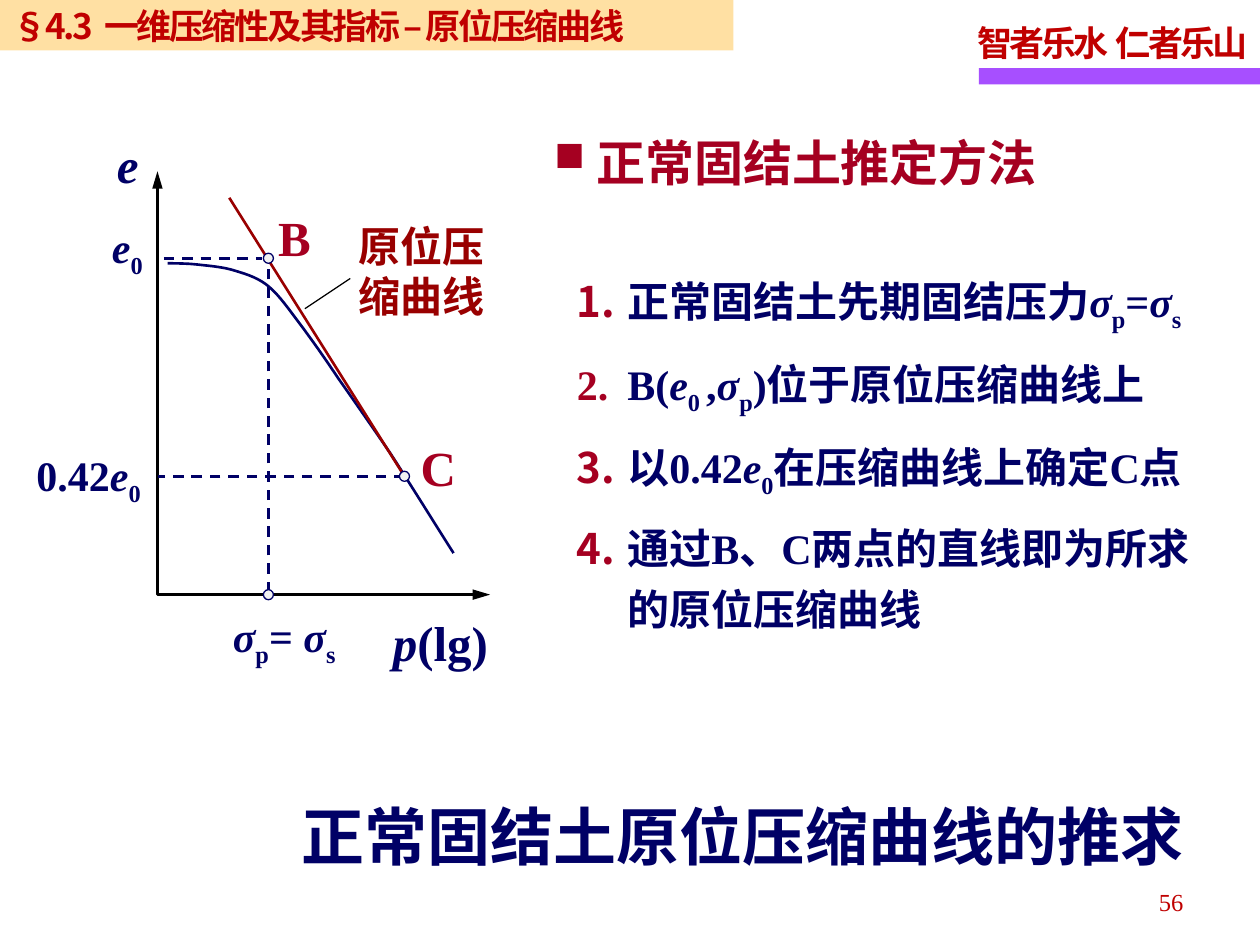
from dataclasses import dataclass
from typing import NamedTuple

import lxml.etree
import pptx
import pptx.dml.color
import pptx.enum.dml
import pptx.enum.shapes
import pptx.enum.text
import pptx.oxml.ns
import pptx.util
from pptx.util import Inches

LATIN, CHINESE = "Times New Roman", "Noto Sans CJK SC"
NAVY, CRIMSON, RED, MAROON, BLACK = "000066", "A50021", "C00000", "990000", "000000"
ALIGN = pptx.enum.text.PP_ALIGN
SHAPE = pptx.enum.shapes.MSO_SHAPE
MARKER = 0.08


class Span(NamedTuple):
    text: str
    italic: bool = False
    sub: bool = False


@dataclass
class Style:
    size: float
    color: str = NAVY
    font: str = LATIN
    bold: bool = True
    tracking: float = 0
    align: ALIGN = ALIGN.LEFT
    line_spacing: float = 1.0
    space_before: float = 0
    hanging: float = 0
    bullet: tuple[str, str, str] | None = None  # tag, attribute, value
    bullet_percent: int = 100


@dataclass
class Label:
    left: float
    top: float
    width: float
    height: float
    paragraphs: list[list[Span]]
    style: Style
    wrap: bool = False
    grow: bool = True


def rgb(color: str) -> pptx.dml.color.RGBColor:
    return pptx.dml.color.RGBColor.from_string(color)


def add_element(parent, tag: str, **attributes: str):
    element = lxml.etree.SubElement(parent, pptx.oxml.ns.qn(tag))
    for name, value in attributes.items():
        element.set(name, value)
    return element


def add_bullet(para, style: Style) -> None:
    properties = para._p.get_or_add_pPr()
    add_element(add_element(properties, "a:buClr"), "a:srgbClr", val=CRIMSON)
    add_element(properties, "a:buSzPct", val=str(style.bullet_percent * 1000))
    tag, attribute, value = style.bullet
    add_element(properties, tag, **{attribute: value})
    if style.hanging:
        indent = Inches(style.hanging)
        properties.set("marL", str(indent))
        properties.set("indent", str(-indent))
        add_element(add_element(properties, "a:tabLst"), "a:tab", pos=str(indent), algn="l")


def write(frame, paragraphs: list[list[Span]], style: Style) -> None:
    for index, spans in enumerate(paragraphs):
        para = frame.paragraphs[0] if index == 0 else frame.add_paragraph()
        if style.bullet:
            add_bullet(para, style)
        para.alignment = style.align
        para.line_spacing = style.line_spacing
        if index and style.space_before:
            para.space_before = pptx.util.Pt(style.space_before)
        for span in spans:
            run = para.add_run()
            run.text = span.text
            formats = {"name": style.font, "size": pptx.util.Pt(style.size),
                       "bold": style.bold, "italic": span.italic}
            for name, value in formats.items():
                setattr(run.font, name, value)
            run.font.color.rgb = rgb(style.color)
            properties = run._r.get_or_add_rPr()
            add_element(properties, "a:ea", typeface=CHINESE)
            if span.sub:
                properties.set("baseline", "-25000")
            if style.tracking:
                properties.set("spc", str(round(style.tracking * 100)))


def add_label(shapes, label: Label) -> None:
    box = shapes.add_textbox(*map(Inches, (label.left, label.top, label.width, label.height)))
    box.text_frame.word_wrap = label.wrap
    if label.grow:
        box.text_frame.auto_size = pptx.enum.text.MSO_AUTO_SIZE.SHAPE_TO_FIT_TEXT
    write(box.text_frame, label.paragraphs, label.style)


def add_filled(shapes, kind: SHAPE, left: float, top: float, width: float, height: float,
               fill: str):
    shape = shapes.add_shape(kind, *map(Inches, (left, top, width, height)))
    shape.shadow.inherit = False
    shape.fill.solid()
    shape.fill.fore_color.rgb = rgb(fill)
    shape.line.fill.background()
    return shape


def set_line(shape, color: str, weight: float) -> None:
    shape.line.color.rgb = rgb(color)
    shape.line.width = pptx.util.Pt(weight)


def add_marker(shapes, x: float, y: float) -> None:
    """Draw a small ring centred on a point of the graph."""
    ring = add_filled(shapes, SHAPE.OVAL, x - MARKER / 2, y - MARKER / 2, MARKER, MARKER, "F2F2F2")
    set_line(ring, NAVY, 0.75)


def add_line(shapes, start: tuple, end: tuple, color: str, weight: float = 1.5,
             dashed: bool = False) -> None:
    line = shapes.add_connector(pptx.enum.shapes.MSO_CONNECTOR.STRAIGHT,
                                *map(Inches, start + end))
    set_line(line, color, weight)
    if dashed:
        line.line.dash_style = pptx.enum.dml.MSO_LINE.DASH
    add_element(line._element.spPr, "a:effectLst")


def add_path(shapes, points: list[tuple], color: str):
    vertices = [(Inches(x), Inches(y)) for x, y in points]
    builder = shapes.build_freeform(*vertices[0])
    builder.add_line_segments(vertices[1:], close=False)
    path = builder.convert_to_shape()
    path.shadow.inherit = False
    path.fill.background()
    set_line(path, color, 1.5)
    return path


def smooth(knots: list[tuple], steps: int = 8) -> list[tuple]:
    """Sample the chain of cubic Bezier segments given by knots and handles."""
    points = [knots[0]]
    for first in range(0, len(knots) - 1, 3):
        for step in range(1, steps + 1):
            t = step / steps
            weights = ((1 - t) ** 3, 3 * t * (1 - t) ** 2, 3 * t * t * (1 - t), t ** 3)
            points.append(tuple(sum(w * knot[axis] for w, knot in zip(weights, knots[first:]))
                                for axis in (0, 1)))
    return points


E, SIGMA = Span("e", italic=True), Span("σ", italic=True)
ZERO, SUB_P, SUB_S = (Span(text, sub=True) for text in ("0", "p", "s"))
SYMBOL, AXIS_NAME, POINT_NAME = Style(24), Style(28), Style(28, CRIMSON)
STEPS = [
    [Span("正常固结土先期固结压力"), SIGMA, SUB_P, Span("="), SIGMA, SUB_S],
    [Span("B("), E, Span("0 ", sub=True), Span(","), SIGMA, SUB_P, Span(")位于原位压缩曲线上")],
    [Span("以0.42"), E, ZERO, Span("在压缩曲线上确定C点")],
    [Span("通过B、C两点的直线即为所求的原位压缩曲线")],
]
TEXTS = [
    Label(7.66, 0.07, 2.34, 0.49, [[Span("智者乐水  仁者乐山")]],
          Style(20, RED, tracking=-1.7, line_spacing=1.15)),
    Label(2.07, 6.28, 7.65, 0.7, [[Span("正常固结土原位压缩曲线的推求")]],
          Style(36, align=ALIGN.CENTER), wrap=True),
    Label(4.48, 2.05, 5.32, 2.95, STEPS,
          Style(24, line_spacing=1.2, space_before=8, hanging=0.4,
                bullet=("a:buAutoNum", "type", "arabicPeriod")), wrap=True),
    Label(4.3, 1, 4.64, 0.57, [[Span(" 正常固结土推定方法")]],
          Style(28, CRIMSON, CHINESE, bullet=("a:buChar", "char", "■"), bullet_percent=85),
          wrap=True),
    Label(7.16, 6.96, 2.33, 0.4, [[Span("56")]],
          Style(14, RED, bold=False, align=ALIGN.RIGHT, line_spacing=1.15), wrap=True, grow=False),
    Label(3.02, 4.81, 0.99, 0.57, [[Span("p", italic=True), Span("(lg)")]], AXIS_NAME),
    Label(0.83, 1.02, 0.38, 0.59, [[E]], AXIS_NAME),
]
ORIGIN = (1.25, 4.72)
X_B, Y_B, X_C, Y_C = 2.13, 2.05, 3.21, 3.78
LAB_CURVE = [
    (1.33, 2.09), (1.37, 2.09), (1.48, 2.09), (1.57, 2.1), (1.66, 2.11), (1.78, 2.12),
    (1.87, 2.15), (1.97, 2.18), (2.06, 2.21), (2.14, 2.28), (2.22, 2.35), (2.29, 2.45),
    (2.38, 2.57), (2.47, 2.69), (2.57, 2.83), (2.69, 3.01), (2.81, 3.18), (2.97, 3.41),
    (3.1, 3.6), (3.23, 3.8), (3.51, 4.25), (3.6, 4.39),
]


def add_header(shapes) -> None:
    add_filled(shapes, SHAPE.RECTANGLE, 7.77, 0.54, 2.23, 0.13, "A74FFF")
    band = add_filled(shapes, SHAPE.RECTANGLE, 0, 0, 5.82, 0.4, "FFCC66")
    color = band._element.spPr.find(".//" + pptx.oxml.ns.qn("a:srgbClr"))
    add_element(color, "a:alpha", val="60000")
    write(band.text_frame, [[Span("§4.3  一维压缩性及其指标 – 原位压缩曲线")]],
          Style(20, RED, CHINESE, tracking=-1.4))


def add_graph(shapes) -> None:
    add_path(shapes, smooth(LAB_CURVE), NAVY)
    axes = add_path(shapes, [(ORIGIN[0], 1.36), ORIGIN, (3.89, ORIGIN[1])], BLACK)
    for end in ("a:headEnd", "a:tailEnd"):
        add_element(axes.line._get_or_add_ln(), end, type="triangle", w="med", len="lg")
    add_line(shapes, (1.82, 1.57), (X_C, Y_C), MAROON)

    pressure, caption, point_b, point_c = (shapes.add_group_shape().shapes for _ in range(4))
    add_label(pressure, Label(1.75, 4.8, 1.1, 0.5,
                              [[SIGMA, SUB_P, Span("= "), SIGMA, SUB_S]], SYMBOL))
    add_line(pressure, (X_B, 4.7), (X_B, Y_B), NAVY, dashed=True)
    add_marker(pressure, X_B, ORIGIN[1])

    add_label(caption, Label(2.75, 1.7, 1.39, 0.92, [[Span("原位压缩曲线")]],
                             Style(24, MAROON), wrap=True))
    add_line(caption, (2.42, 2.45), (2.78, 2.21), BLACK, 0.75)

    add_label(point_b, Label(0.79, 1.71, 0.46, 0.5, [[E, ZERO]], SYMBOL))
    add_line(point_b, (1.3, Y_B), (2.08, Y_B), NAVY, dashed=True)
    add_marker(point_b, X_B, Y_B)
    add_label(point_b, Label(2.11, 1.6, 0.46, 0.57, [[Span("B")]], POINT_NAME))

    add_label(point_c, Label(0.19, 3.52, 1.05, 0.5, [[Span("0.42"), E, ZERO]], SYMBOL))
    add_line(point_c, (X_C, Y_C), (ORIGIN[0], Y_C), NAVY, dashed=True)
    add_marker(point_c, X_C, Y_C)
    add_label(point_c, Label(3.24, 3.42, 0.49, 0.57, [[Span("C")]], POINT_NAME))


def main() -> None:
    deck = pptx.Presentation()
    deck.slide_width, deck.slide_height = Inches(10), Inches(7.5)
    page = deck.slides.add_slide(deck.slide_layouts[6])
    add_header(page.shapes)
    for label in TEXTS:
        add_label(page.shapes, label)
    add_graph(page.shapes)
    deck.save("out.pptx")


if __name__ == "__main__":
    main()
